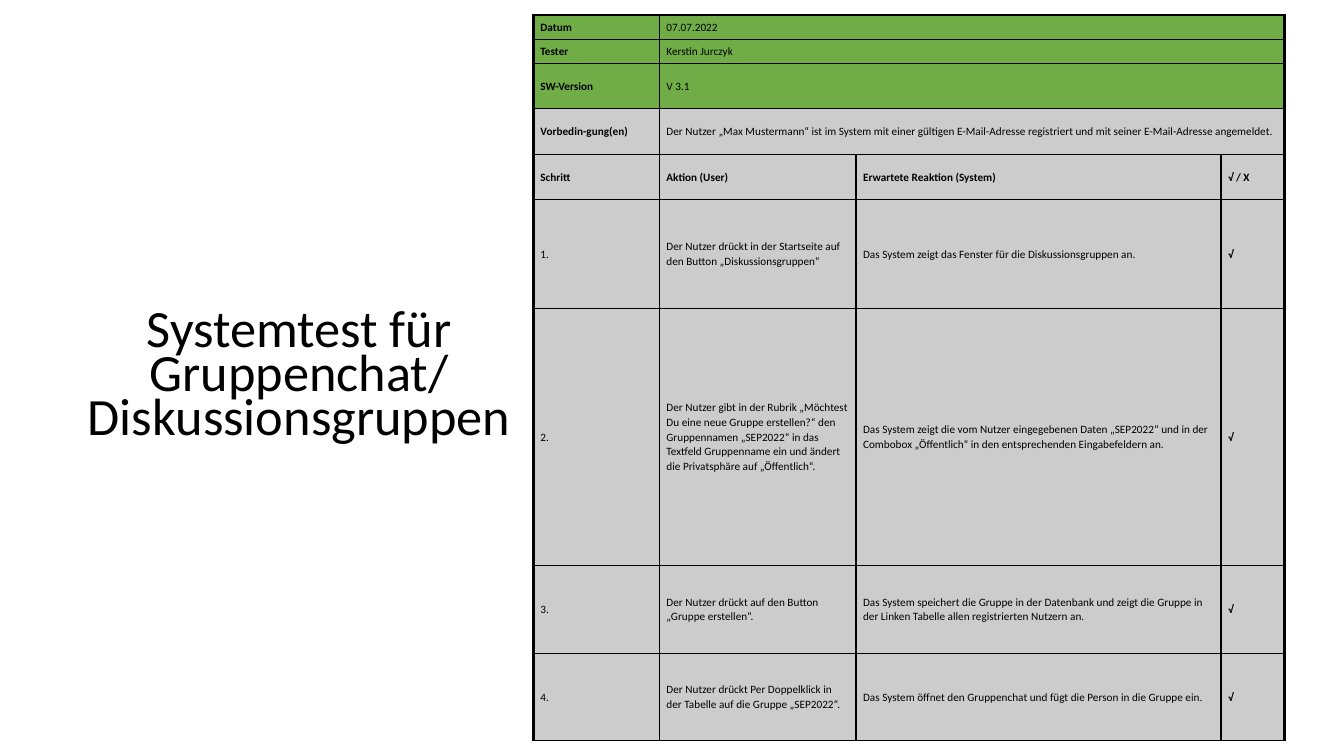
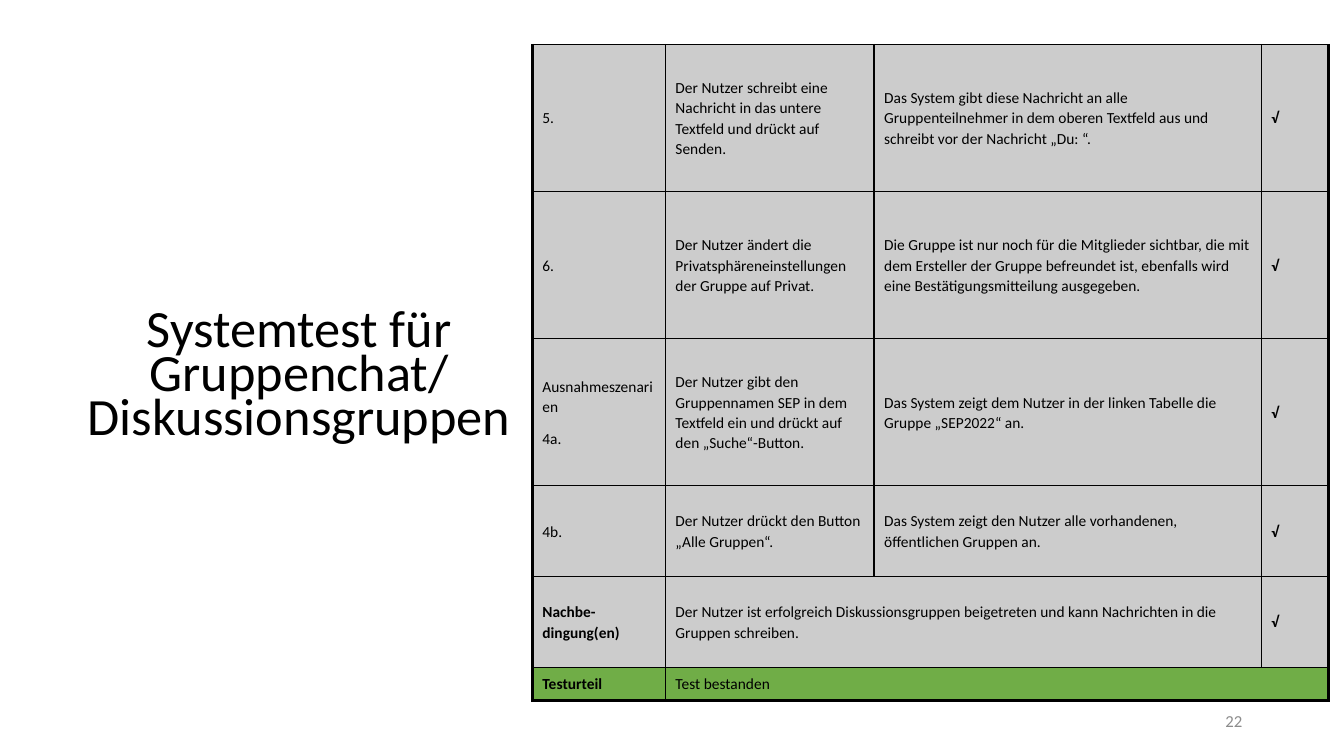
from dataclasses import dataclass

from lxml.etree import SubElement
from pptx import Presentation
from pptx.dml.color import RGBColor
from pptx.enum.text import MSO_ANCHOR, MSO_AUTO_SIZE, PP_ALIGN
from pptx.oxml.ns import qn
from pptx.util import Inches, Pt


@dataclass(frozen=True)
class Theme:
    font: str = "Calibri"
    text: str = "000000"
    muted: str = "8C8C8C"
    green: str = "70AD47"
    gray: str = "CCCCCC"
    title_size: float = 37.4
    number_size: float = 12
    thin: float = 1
    thick: float = 2.25


THEME = Theme()

# Content: each row is (kind, height, cells); a short row widens its second cell
TITLE = "Systemtest für\nGruppenchat/ Diskussionsgruppen"

SETUP_ROWS = [
    ("summary", 0.24, ("Datum", "07.07.2022")),
    ("summary", 0.24, ("Tester", "Kerstin Jurczyk")),
    ("summary", 0.45, ("SW-Version", "V 3.1")),
    ("condition", 0.45, (
        "Vorbedin-gung(en)",
        "Der Nutzer „Max Mustermann“ ist im System mit einer gültigen E-Mail-Adresse "
        "registriert und mit seiner E-Mail-Adresse angemeldet.")),
    ("heading", 0.45, ("Schritt", "Aktion (User)", "Erwartete Reaktion (System)", "√ / X")),
    ("step", 1.08, (
        "1.",
        "Der Nutzer drückt in der Startseite auf den Button „Diskussionsgruppen“",
        "Das System zeigt das Fenster für die Diskussionsgruppen an.", "√")),
    ("step", 2.55, (
        "2.",
        "Der Nutzer gibt in der Rubrik „Möchtest Du eine neue Gruppe erstellen?“ den "
        "Gruppennamen „SEP2022“ in das Textfeld Gruppenname ein und ändert die "
        "Privatsphäre auf „Öffentlich“.",
        "Das System zeigt die vom Nutzer eingegebenen Daten „SEP2022“ und in der "
        "Combobox „Öffentlich“ in den entsprechenden Eingabefeldern an.", "√")),
    ("step", 0.87, (
        "3.",
        "Der Nutzer drückt auf den Button „Gruppe erstellen“.",
        "Das System speichert die Gruppe in der Datenbank und zeigt die Gruppe in der "
        "Linken Tabelle allen registrierten Nutzern an.", "√")),
    ("step", 0.87, (
        "4.",
        "Der Nutzer drückt Per Doppelklick in der Tabelle auf die Gruppe „SEP2022“.",
        "Das System öffnet den Gruppenchat und fügt die Person in die Gruppe ein.", "√")),
]

RESULT_ROWS = [
    ("step", 1.46, (
        "5.",
        "Der Nutzer schreibt eine Nachricht in das untere Textfeld und drückt auf Senden.",
        "Das System gibt diese Nachricht an alle Gruppenteilnehmer in dem oberen "
        "Textfeld aus und schreibt vor der Nachricht „Du: “.", "√")),
    ("step", 1.46, (
        "6.",
        "Der Nutzer ändert die Privatsphäreneinstellungen der Gruppe auf Privat.",
        "Die Gruppe ist nur noch für die Mitglieder sichtbar, die mit dem Ersteller der "
        "Gruppe befreundet ist, ebenfalls wird eine Bestätigungsmitteilung ausgegeben.", "√")),
    ("step", 1.46, (
        "Ausnahmeszenarien\n4a.",
        "Der Nutzer gibt den Gruppennamen SEP in dem Textfeld ein und drückt auf den "
        "„Suche“-Button.",
        "Das System zeigt dem Nutzer in der linken Tabelle die Gruppe „SEP2022“ an.", "√")),
    ("step", 0.9, (
        "4b.",
        "Der Nutzer drückt den Button „Alle Gruppen“.",
        "Das System zeigt den Nutzer alle vorhandenen, öffentlichen Gruppen an.", "√")),
    ("condition", 0.9, (
        "Nachbe-dingung(en)",
        "Der Nutzer ist erfolgreich Diskussionsgruppen beigetreten und kann Nachrichten "
        "in die Gruppen schreiben.", "√")),
    ("summary", 0.33, ("Testurteil", "Test bestanden")),
]

SLIDES = [
    dict(rows=SETUP_ROWS, left=5.29, top=0.15, columns=(1.25, 1.95, 3.62, 0.63),
         size=8, margins=(0.07, 0.01), thick_edge="top", number=None),
    dict(rows=RESULT_ROWS, left=5.28, top=0.44, columns=(1.32, 2.07, 3.84, 0.67),
         size=11, margins=(0.1, 0.02), thick_edge="bottom", number="22"),
]


def format_paragraph(paragraph, size, color=THEME.text, bold=False, align=None,
                     line_spacing=None, space_after=None):
    paragraph.alignment = align
    paragraph.line_spacing = line_spacing
    if space_after is not None:
        paragraph.space_after = Pt(space_after)
    for run in paragraph.runs:
        run.font.name = THEME.font
        run.font.size = Pt(size)
        run.font.bold = bold
        run.font.color.rgb = RGBColor.from_string(color)


def add_title(slide):
    title = slide.shapes.title
    title.left, title.top = Inches(0), Inches(3.03)
    title.width, title.height = Inches(5.94), Inches(1.45)
    frame = title.text_frame
    frame.text = TITLE
    frame.word_wrap = True
    frame.auto_size = MSO_AUTO_SIZE.NONE
    frame.vertical_anchor = MSO_ANCHOR.MIDDLE
    for paragraph in frame.paragraphs:
        format_paragraph(paragraph, THEME.title_size, align=PP_ALIGN.CENTER, line_spacing=0.7)
        paragraph.space_before = Pt(0)


def add_page_number(slide, number):
    box = slide.shapes.add_textbox(Inches(9.42), Inches(6.95), Inches(3), Inches(0.4))
    frame = box.text_frame
    frame.text = number
    frame.word_wrap = True
    frame.vertical_anchor = MSO_ANCHOR.MIDDLE
    format_paragraph(frame.paragraphs[0], THEME.number_size, THEME.muted, align=PP_ALIGN.RIGHT)


def set_borders(cell, left, right, top, bottom):
    """Cell borders must stand before the fill in the cell properties."""
    properties = cell._tc.get_or_add_tcPr()
    widths = {"a:lnL": left, "a:lnR": right, "a:lnT": top, "a:lnB": bottom}
    for position, (tag, thick) in enumerate(widths.items()):
        width = Pt(THEME.thick if thick else THEME.thin)
        line = SubElement(properties, qn(tag), w=str(int(width)))
        fill = SubElement(line, qn("a:solidFill"))
        SubElement(fill, qn("a:srgbClr"), val=THEME.text)
        properties.insert(position, line)


def add_test_table(slide, rows, left, top, columns, size, margins, thick_edge):
    last_row, last_column = len(rows) - 1, len(columns) - 1
    height = sum(row_height for _, row_height, _ in rows)
    table = slide.shapes.add_table(
        len(rows), len(columns), Inches(left), Inches(top),
        Inches(sum(columns)), Inches(height)).table
    table.first_row = table.horz_banding = False
    for column, width in zip(table.columns, columns):
        column.width = Inches(width)

    for row, (kind, row_height, texts) in enumerate(rows):
        table.rows[row].height = Inches(row_height)
        # The second cell takes the columns that a short row leaves free
        extra = len(columns) - len(texts)
        if extra:
            table.cell(row, 1).merge(table.cell(row, 1 + extra))
        places = [0, 1] + list(range(2 + extra, len(columns)))
        text_at = dict(zip(places, texts))

        for column in range(len(columns)):
            cell = table.cell(row, column)
            cell.fill.solid()
            cell.fill.fore_color.rgb = RGBColor.from_string(
                THEME.green if kind == "summary" else THEME.gray)
            end_column = column + extra if column == 1 else column
            set_borders(cell, column == 0, end_column == last_column,
                        thick_edge == "top" and row == 0,
                        thick_edge == "bottom" and row == last_row)
            if column not in text_at:
                continue
            cell.vertical_anchor = MSO_ANCHOR.MIDDLE
            cell.margin_left = cell.margin_right = Inches(margins[0])
            cell.margin_top = cell.margin_bottom = Inches(margins[1])
            cell.text_frame.text = text_at[column]
            is_label = column == 0 and kind != "step"
            is_mark = column == last_column
            for paragraph in cell.text_frame.paragraphs:
                format_paragraph(paragraph, size, bold=kind == "heading" or is_label or is_mark,
                                 line_spacing=1.07, space_after=8)


def main():
    presentation = Presentation()
    presentation.slide_width, presentation.slide_height = Inches(13.33), Inches(7.5)
    title_only = presentation.slide_layouts[5]
    for content in SLIDES:
        slide = presentation.slides.add_slide(title_only)
        table_content = dict(content)
        number = table_content.pop("number")
        if number:
            add_page_number(slide, number)
        add_title(slide)
        add_test_table(slide, **table_content)
    presentation.save("out.pptx")


if __name__ == "__main__":
    main()
